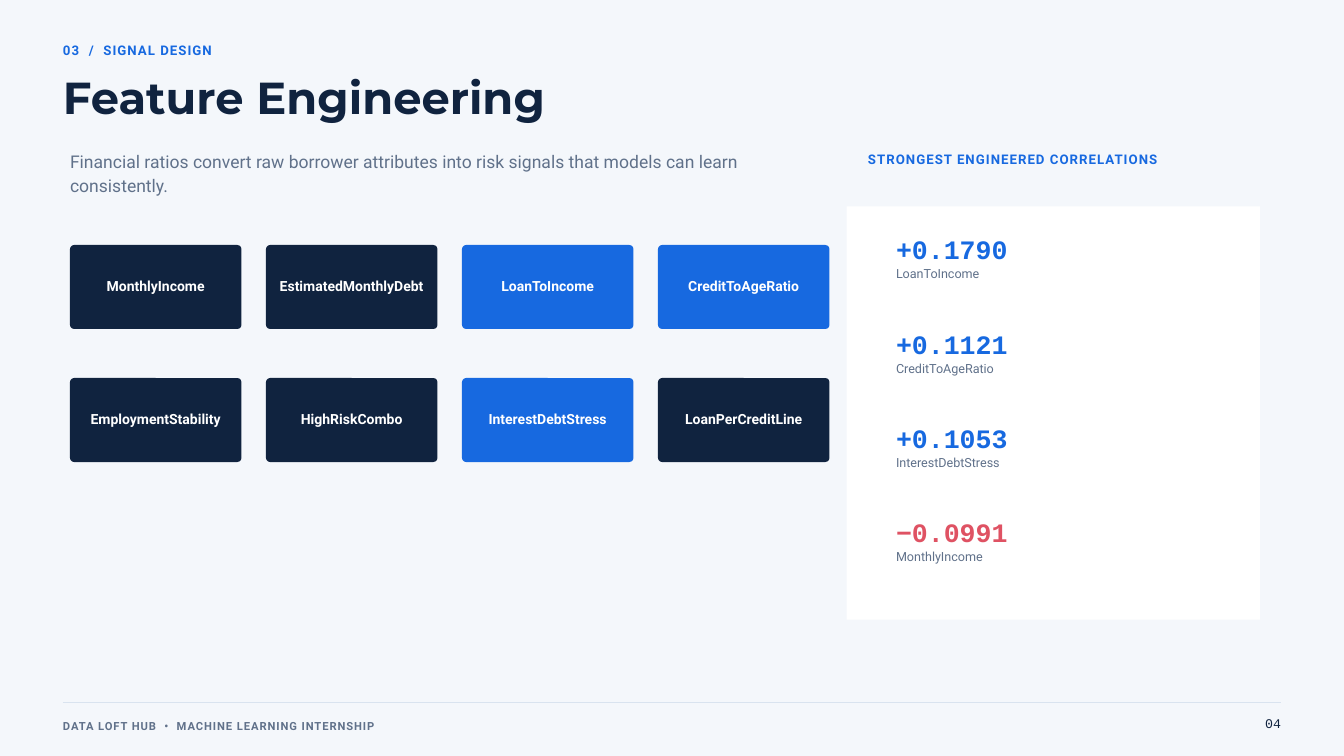
"""Build the Feature Engineering slide with feature cards and correlations."""
from lxml.etree import SubElement
from pptx import Presentation
from pptx.dml.color import RGBColor
from pptx.enum.shapes import MSO_CONNECTOR, MSO_SHAPE
from pptx.enum.text import MSO_ANCHOR, MSO_AUTO_SIZE, PP_ALIGN
from pptx.oxml.ns import qn
from pptx.util import Pt

COLORS = {
    "background": "F4F7FB",
    "navy": "10233F",
    "blue": "1769E0",
    "slate": "60718A",
    "red": "DF5263",
    "white": "FFFFFF",
    "rule": "D9E3EF",
}


def write(frame, text, size, color, leading, font="Roboto", bold=False,
          tracking=0, align=PP_ALIGN.LEFT, inset=0):
    frame.word_wrap = True
    frame.margin_left = frame.margin_right = Pt(inset)
    frame.margin_top = frame.margin_bottom = Pt(inset)
    paragraph = frame.paragraphs[0]
    paragraph.alignment = align
    paragraph.line_spacing = Pt(leading)
    run = paragraph.add_run()
    run.text = text
    run.font.size = Pt(size)
    run.font.name = font
    run.font.bold = bold
    run.font.color.rgb = RGBColor.from_string(COLORS[color])
    if tracking:
        run.font._element.set("spc", str(round(tracking * 100)))


def add_block(kind, left, top, width, height, color):
    block = slide.shapes.add_shape(kind, Pt(left), Pt(top), Pt(width), Pt(height))
    block.shadow.inherit = False
    block.fill.solid()
    block.fill.fore_color.rgb = RGBColor.from_string(COLORS[color])
    block.line.fill.background()
    return block


prs = Presentation()
prs.slide_width, prs.slide_height = Pt(1440), Pt(810)
slide = prs.slides.add_slide(prs.slide_layouts[6])
slide.background.fill.solid()
slide.background.fill.fore_color.rgb = RGBColor.from_string(COLORS["background"])

panel = add_block(MSO_SHAPE.RECTANGLE, 907.2, 221.2, 442.8, 442.8, "white")

label = {"bold": True, "tracking": 1.1}
mono = {"font": "Courier New"}
texts = [
    (67.5, 42.5, 525, 19, "03  /  SIGNAL DESIGN", 14.2, "blue", 19.9, label),
    (67.5, 80, 1125, 52.5, "Feature Engineering", 48, "navy", 51.8,
     {"font": "Montserrat", "bold": True}),
    (75, 159, 787.5, 24.5,
     "Financial ratios convert raw borrower attributes into risk signals "
     "that models can learn consistently.", 18.8, "slate", 25.3, {}),
    (930, 159, 420, 19, "STRONGEST ENGINEERED CORRELATIONS", 14.2, "blue", 19.9, label),
    (67.5, 768, 675, 16, "DATA LOFT HUB  •  MACHINE LEARNING INTERNSHIP", 12, "slate", 16.8,
     {"bold": True, "tracking": 1}),
    (1305, 764, 67.5, 19, "04", 14.2, "navy", 19.9, mono | {"align": PP_ALIGN.RIGHT}),
]

correlations = [
    ("+0.1790", "LoanToIncome", "blue"),
    ("+0.1121", "CreditToAgeRatio", "blue"),
    ("+0.1053", "InterestDebtStress", "blue"),
    ("−0.0991", "MonthlyIncome", "red"),
]
for index, (value, feature, color) in enumerate(correlations):
    top = 244 + index * 101.1
    texts += [
        (960, top, 322.5, 38, value, 28.5, color, 39.9, mono | {"bold": True}),
        (960, top + 39.8, 322.5, 17, feature, 13.5, "slate", 17.6, {}),
    ]

for left, top, width, height, text, size, color, leading, style in texts:
    box = slide.shapes.add_textbox(Pt(left), Pt(top), Pt(width), Pt(height))
    write(box.text_frame, text, size, color, leading, **style)
    box.text_frame.auto_size = MSO_AUTO_SIZE.SHAPE_TO_FIT_TEXT

features = [
    ("MonthlyIncome", "navy"),
    ("EstimatedMonthlyDebt", "navy"),
    ("LoanToIncome", "blue"),
    ("CreditToAgeRatio", "blue"),
    ("EmploymentStability", "navy"),
    ("HighRiskCombo", "navy"),
    ("InterestDebtStress", "blue"),
    ("LoanPerCreditLine", "navy"),
]
for index, (feature, color) in enumerate(features):
    row, column = divmod(index, 4)
    card = add_block(MSO_SHAPE.ROUNDED_RECTANGLE, 75 + column * 210,
                     262.5 + row * 142.5, 183.75, 90, color)
    card.adjustments[0] = 0.05
    write(card.text_frame, feature, 15, "white", 16.5, bold=True,
          align=PP_ALIGN.CENTER, inset=4.5)
    card.text_frame.vertical_anchor = MSO_ANCHOR.MIDDLE

footer_rule = slide.shapes.add_connector(
    MSO_CONNECTOR.STRAIGHT, Pt(67.5), Pt(753), Pt(1372.5), Pt(753))
footer_rule.line.width = Pt(0.75)
footer_rule.line.color.rgb = RGBColor.from_string(COLORS["rule"])
SubElement(footer_rule._element.spPr, qn("a:effectLst"))

prs.save("out.pptx")
